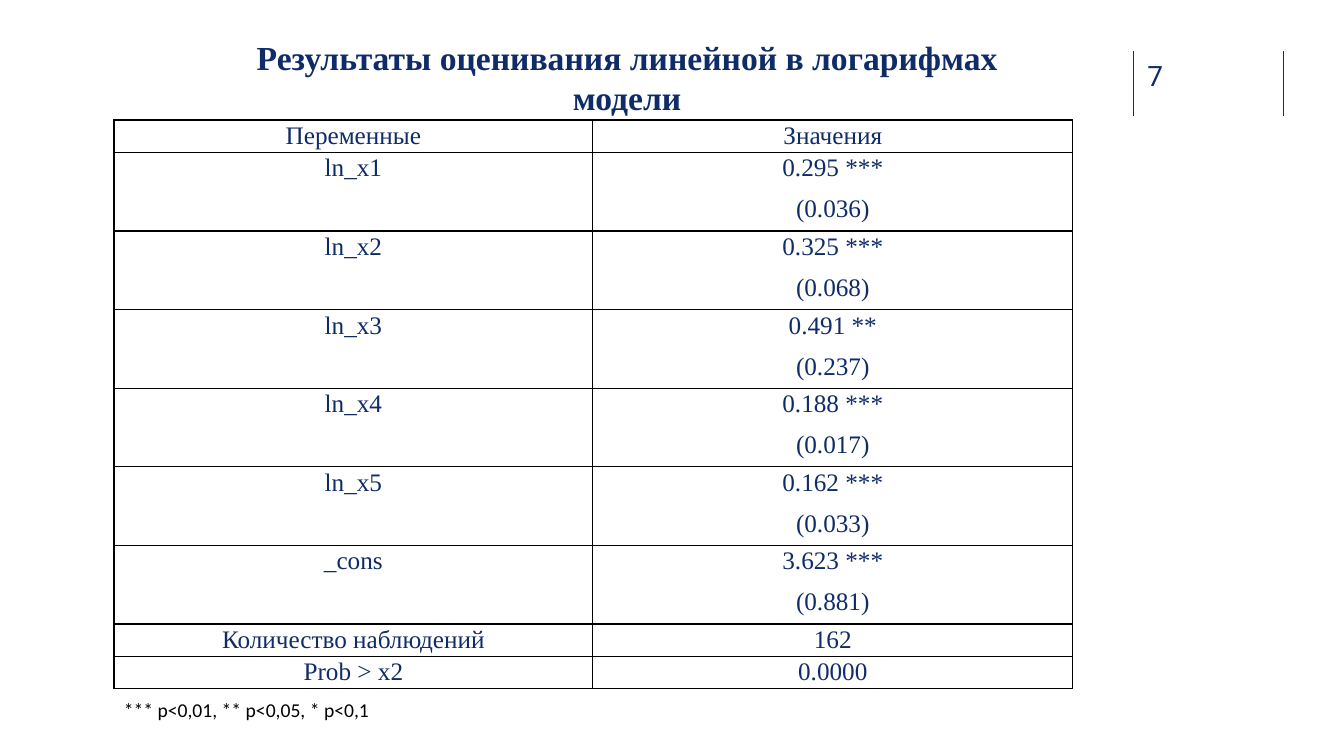
import pptx
import pptx.util
import pptx.dml.color
import pptx.enum.dml
import pptx.enum.shapes
import pptx.enum.text
import pptx.oxml
import lxml.etree
from pptx.util import Inches

COLORS = {"navy": "0F2C68", "line": "102D69", "black": "000000", "white": "FFFFFF"}
ROWS = [
    ("Переменные", "Значения"),
    ("ln_x1", "0.295 ***\n(0.036)"),
    ("ln_x2", "0.325 ***\n(0.068)"),
    ("ln_x3", "0.491 **\n(0.237)"),
    ("ln_x4", "0.188 ***\n(0.017)"),
    ("ln_x5", "0.162 ***\n(0.033)"),
    ("_cons", "3.623 ***\n(0.881)"),
    ("Количество наблюдений", "162"),
    ("Prob > x2", "0.0000"),
]
CENTER = pptx.enum.text.PP_ALIGN.CENTER
MIDDLE = pptx.enum.text.MSO_ANCHOR.MIDDLE
NAMESPACE = pptx.oxml.ns.nsdecls("a")


def rgb(name):
    return pptx.dml.color.RGBColor.from_string(COLORS[name])


def format_text(frame, font, size, color, bold=False, align=None):
    for para in frame.paragraphs:
        para.alignment = align
        for span in para.runs:
            span.font.name = font
            span.font.size = pptx.util.Pt(size)
            span.font.bold = bold
            span.font.color.rgb = rgb(color)


deck = pptx.Presentation()
deck.slide_width = Inches(13.33)
deck.slide_height = Inches(7.5)
page = deck.slides.add_slide(deck.slide_layouts[5])

title = page.shapes.title
title.left, title.top = Inches(2.03), Inches(0.34)
title.width, title.height = Inches(8.38), Inches(0.85)
title.fill.solid()
title.fill.fore_color.rgb = rgb("white")
frame = title.text_frame
frame.text = "Результаты оценивания линейной в логарифмах модели"
frame.word_wrap = True
frame.auto_size = pptx.enum.text.MSO_AUTO_SIZE.NONE
frame.vertical_anchor = MIDDLE
frame.margin_left = frame.margin_right = frame.margin_top = frame.margin_bottom = 0
format_text(frame, "Times New Roman", 24, "navy", True, CENTER)

for x in (11.24, 12.73):
    rule = page.shapes.add_connector(
        pptx.enum.shapes.MSO_CONNECTOR.STRAIGHT,
        Inches(x), Inches(0.51), Inches(x), Inches(1.15))
    rule.line.color.rgb = rgb("line")
    rule.line.width = pptx.util.Pt(1)
    lxml.etree.SubElement(rule._element.spPr, pptx.oxml.ns.qn("a:effectLst"))

number = page.shapes.add_textbox(Inches(11.38), Inches(0.58), Inches(0.73), Inches(0.34))
frame = number.text_frame
frame.text = "7"
frame.word_wrap = True
frame.margin_left = frame.margin_right = frame.margin_top = frame.margin_bottom = 0
format_text(frame, "Roboto", 20, "line")

table = page.shapes.add_table(
    len(ROWS), 2, Inches(1.13), Inches(1.19), Inches(9.51), Inches(5.64)).table
table.first_row = False
table.horz_banding = False
table.columns[0].width = Inches(4.75)
table.columns[1].width = Inches(4.76)
for row, values in zip(table.rows, ROWS):
    row.height = Inches(0.78 if "\n" in values[1] else 0.32)
    for cell, value in zip(row.cells, values):
        cell.text_frame.text = value
        cell.margin_left = cell.margin_right = Inches(0.07)
        cell.margin_top = cell.margin_bottom = 0
        format_text(cell.text_frame, "Times New Roman", 18, "navy", align=CENTER)
        for para in cell.text_frame.paragraphs:
            para.line_spacing = 1.07
            para.space_after = pptx.util.Pt(8)
        properties = cell._tc.get_or_add_tcPr()
        for side in ("lnL", "lnR", "lnT", "lnB"):
            properties.append(pptx.oxml.parse_xml(
                f'<a:{side} {NAMESPACE} w="12700"><a:solidFill>'
                f'<a:srgbClr val="{COLORS["black"]}"/></a:solidFill></a:{side}>'))
        cell.fill.background()

note = page.shapes.add_textbox(Inches(1.13), Inches(6.87), Inches(2.66), Inches(0.34))
frame = note.text_frame
frame.text = "*** p<0,01, ** p<0,05, * p<0,1"
frame.word_wrap = False
frame.vertical_anchor = MIDDLE
format_text(frame, "Calibri", 14, "black")

deck.save("out.pptx")
